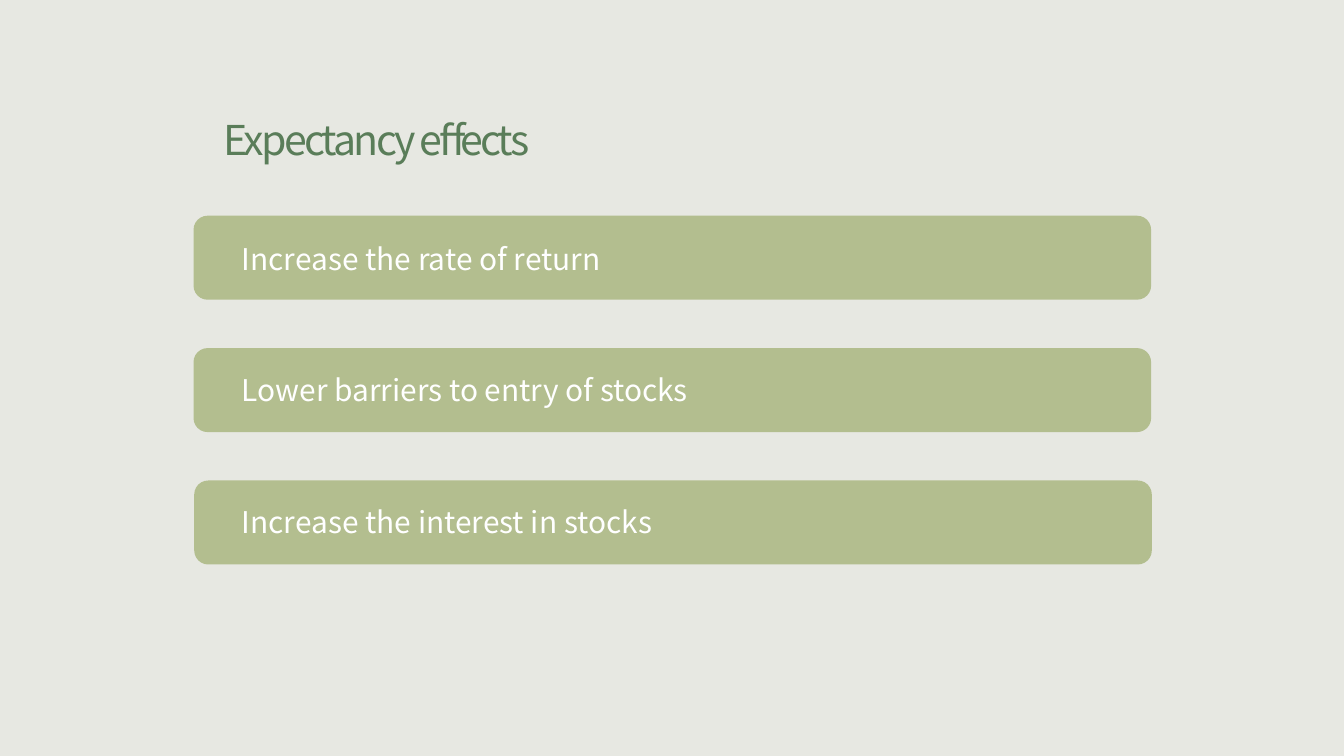
"""Build the slide listing the expectancy effects."""
from dataclasses import dataclass

from pptx import Presentation
from pptx.dml.color import RGBColor
from pptx.enum.shapes import MSO_SHAPE
from pptx.enum.text import MSO_ANCHOR, MSO_AUTO_SIZE, PP_ALIGN
from pptx.slide import Slide
from pptx.text.text import TextFrame
from pptx.util import Inches, Pt

BAR_SHAPE = MSO_SHAPE.FLOWCHART_ALTERNATE_PROCESS
TOP = MSO_ANCHOR.TOP
GROW = MSO_AUTO_SIZE.SHAPE_TO_FIT_TEXT
LEFT = PP_ALIGN.LEFT
TITLE_ONLY = 5
FIRST_TOP, PITCH = 3.21, 1.97


@dataclass(frozen=True)
class Theme:
    """Colours, font and type sizes."""
    font: str = "Noto Sans CJK KR"
    background: RGBColor = RGBColor(0xE7, 0xE8, 0xE2)
    title: RGBColor = RGBColor(0x5A, 0x7D, 0x59)
    bar: RGBColor = RGBColor(0xB3, 0xBE, 0x8F)
    label: RGBColor = RGBColor(0xFF, 0xFF, 0xFF)
    title_size: int = 44
    label_size: int = 32
    title_spacing: int = -300


@dataclass(frozen=True)
class Effect:
    """One bar with its label."""
    text: str
    label_width: float
    label_drop: float = 0.3
    left: float = 2.88


THEME = Theme()
EFFECTS = (
    Effect("Increase the rate of return", 11.17, label_drop=0.32),
    Effect("Lower barriers to entry of stocks", 9.83),
    Effect("Increase the interest in stocks", 8.97, left=2.89),
)


def write(tf: TextFrame, text: str, size: int, color: RGBColor, spacing: int = 0) -> None:
    """Put one left-aligned run in a text frame."""
    tf.word_wrap = True
    tf.auto_size = GROW
    tf.vertical_anchor = TOP
    p = tf.paragraphs[0]
    p.alignment = LEFT
    r = p.add_run()
    r.text = text
    r.font.name = THEME.font
    r.font.size = Pt(size)
    r.font.color.rgb = color
    rpr = r.font._element
    rpr.set("spc", str(spacing))


def add_title(s: Slide, text: str) -> None:
    """Place and format the title placeholder."""
    sp = s.shapes.title
    sp.left, sp.top = Inches(3.23), Inches(1.65)
    sp.width, sp.height = Inches(6.19), Inches(0.84)
    write(sp.text_frame, text, THEME.title_size, THEME.title, THEME.title_spacing)


def add_effect(s: Slide, effect: Effect, top: float) -> None:
    """Draw a bar and its label as one group."""
    group = s.shapes.add_group_shape()
    sp = group.shapes.add_shape(
        BAR_SHAPE, Inches(effect.left), Inches(top), Inches(14.25), Inches(1.25))
    sp.shadow.inherit = False
    sp.fill.solid()
    sp.fill.fore_color.rgb = THEME.bar
    sp.line.fill.background()
    label = group.shapes.add_textbox(
        Inches(3.5), Inches(top + effect.label_drop),
        Inches(effect.label_width), Inches(0.64))
    write(label.text_frame, effect.text, THEME.label_size, THEME.label)


def main() -> None:
    """Build and save the presentation."""
    prs = Presentation()
    prs.slide_width, prs.slide_height = Inches(20), Inches(11.25)
    s = prs.slides.add_slide(prs.slide_layouts[TITLE_ONLY])
    s.background.fill.solid()
    s.background.fill.fore_color.rgb = THEME.background
    add_title(s, "Expectancy effects")
    for i, effect in enumerate(EFFECTS):
        add_effect(s, effect, FIRST_TOP + i * PITCH)
    prs.save("out.pptx")


if __name__ == "__main__":
    main()
